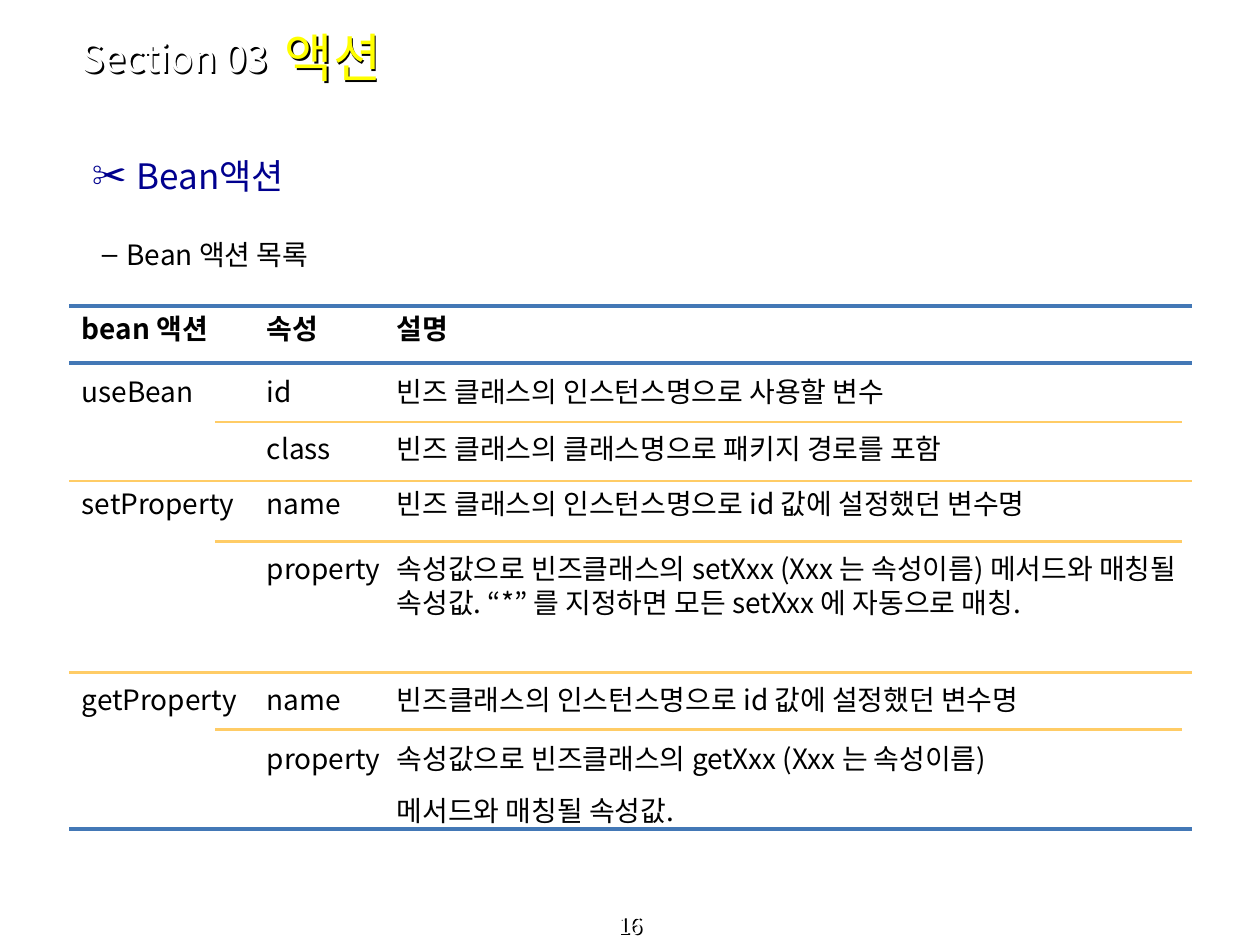
from lxml import etree
from pptx import Presentation
from pptx import util as u
from pptx.dml.color import RGBColor
from pptx.enum import shapes, text
from pptx.oxml import ns

FONT = "Noto Sans CJK KR"
BLACK = RGBColor(0x00, 0x00, 0x00)
WHITE = RGBColor(0xFF, 0xFF, 0xFF)
YELLOW = RGBColor(0xFF, 0xFF, 0x00)
NAVY = RGBColor(0x00, 0x00, 0x8E)
BLUE = RGBColor(0x43, 0x78, 0xB6)
ORANGE = RGBColor(0xFF, 0xCC, 0x66)

SECTION, TITLE, PAGE_NUMBER = "Section 03", "액션", "16"
BODY = [
    {"text": "Bean액션", "level": 0, "size": 20, "color": NAVY, "bullet": "✂",
     "margin": 1.2, "indent": -0.9, "before": 0, "spacing": 1},
    {"text": "Bean 액션 목록", "level": 1, "size": 16, "color": BLACK, "bullet": "–",
     "margin": 1, "indent": -0.5, "before": 4, "spacing": 2},
]
ROWS = [
    ("bean 액션", "속성", "설명"),
    ("useBean", "id", "빈즈 클래스의 인스턴스명으로 사용할 변수"),
    ("", "class", "빈즈 클래스의 클래스명으로 패키지 경로를 포함"),
    ("setProperty", "name", "빈즈 클래스의 인스턴스명으로 id 값에 설정했던 변수명"),
    ("", "property", "속성값으로 빈즈클래스의 setXxx (Xxx 는 속성이름) 메서드와 "
                     "매칭될 속성값. “*” 를 지정하면 모든 setXxx 에 자동으로 매칭."),
    ("getProperty", "name", "빈즈클래스의 인스턴스명으로 id 값에 설정했던 변수명"),
    ("", "property", "속성값으로 빈즈클래스의 getXxx (Xxx 는 속성이름)\n메서드와 매칭될 속성값."),
]
ROW_EDGES = [6.17, 7.44, 8.59, 9.7, 11, 13.64, 14.83, 16.71]
COLUMN_EDGES = [1.4, 5.13, 7.75, 24.03]
RULES = [
    (1.4, 24.03, BLUE, 2.25, (6.17, 7.32, 16.71)),
    (1.4, 24.03, ORANGE, 1.5, (9.7, 13.56)),
    (4.34, 23.83, ORANGE, 1.5, (8.51, 10.92, 14.71)),
]


def format_runs(paragraph, size, color, bold=False):
    for run in paragraph.runs:
        run.font.size = u.Pt(size)
        run.font.bold = bold
        run.font.color.rgb = color
        run.font.name = FONT
        latin = run.font._element.find(ns.qn("a:latin"))
        latin.addnext(etree.Element(ns.qn("a:ea"), typeface=FONT))


def place(shape, left, top, width, height):
    shape.left, shape.top = u.Cm(left), u.Cm(top)
    shape.width, shape.height = u.Cm(width), u.Cm(height)


def add_shadow(shape):
    shape.fill.background()
    shape.line.fill.background()
    effects = etree.SubElement(shape._element.spPr, ns.qn("a:effectLst"))
    outer = etree.SubElement(effects, ns.qn("a:outerShdw"), blurRad="0",
                             dist=str(u.Cm(0.05)), dir="2700000",
                             algn="tl", rotWithShape="0")
    etree.SubElement(outer, ns.qn("a:srgbClr"), val=str(BLACK))


def fill_label(shape, content, size, color, anchor, alignment):
    frame = shape.text_frame
    frame.text = content
    frame.word_wrap = True
    frame.auto_size = text.MSO_AUTO_SIZE.NONE
    frame.vertical_anchor = anchor
    frame.paragraphs[0].alignment = alignment
    format_runs(frame.paragraphs[0], size, color)
    add_shadow(shape)


def add_body(shape):
    place(shape, 1.3, 2.99, 22.86, 3)
    frame = shape.text_frame
    frame.text = "\n".join(item["text"] for item in BODY)
    frame.auto_size = text.MSO_AUTO_SIZE.NONE
    for paragraph, item in zip(frame.paragraphs, BODY):
        paragraph.level = item["level"]
        paragraph.line_spacing = item["spacing"]
        paragraph.space_before = u.Pt(item["before"])
        properties = paragraph._p.get_or_add_pPr()
        properties.set("marL", str(u.Cm(item["margin"])))
        properties.set("indent", str(u.Cm(item["indent"])))
        etree.SubElement(properties, ns.qn("a:buChar"), char=item["bullet"])
        format_runs(paragraph, item["size"], item["color"])


def add_action_table(slide):
    left, top = COLUMN_EDGES[0], ROW_EDGES[0]
    frame = slide.shapes.add_table(
        len(ROWS), len(ROWS[0]), u.Cm(left), u.Cm(top),
        u.Cm(COLUMN_EDGES[-1] - left), u.Cm(ROW_EDGES[-1] - top))
    table = frame.table
    table.horz_banding = False
    style = table._tbl.tblPr.find(ns.qn("a:tableStyleId"))
    style.text = "{2D5ABB26-0587-4C30-8999-92F81FD0307C}"
    for column, start, end in zip(table.columns, COLUMN_EDGES, COLUMN_EDGES[1:]):
        column.width = u.Cm(end - start)
    for row, start, end in zip(table.rows, ROW_EDGES, ROW_EDGES[1:]):
        row.height = u.Cm(end - start)
    for row_index, values in enumerate(ROWS):
        for column_index, value in enumerate(values):
            cell = table.cell(row_index, column_index)
            cell.fill.background()
            cell.margin_left, cell.margin_top = u.Cm(0.25), u.Cm(0.13)
            cell.margin_right = cell.margin_bottom = 0
            cell.text = value
            for index, paragraph in enumerate(cell.text_frame.paragraphs):
                paragraph.line_spacing = 0.85
                paragraph.space_before = u.Pt(10 if index else 0)
                format_runs(paragraph, 16, BLACK, bold=row_index == 0)
        if not values[0]:
            table.cell(row_index - 1, 0).merge(table.cell(row_index, 0))


def add_rules(slide):
    for start, end, color, width, heights in RULES:
        for height in heights:
            rule = slide.shapes.add_connector(
                shapes.MSO_CONNECTOR.STRAIGHT,
                u.Cm(start), u.Cm(height), u.Cm(end), u.Cm(height))
            rule.line.color.rgb = color
            rule.line.width = u.Pt(width)
            etree.SubElement(rule._element.spPr, ns.qn("a:effectLst"))


def main():
    presentation = Presentation()
    presentation.slide_width, presentation.slide_height = u.Cm(25.4), u.Cm(19.05)
    slide = presentation.slides.add_slide(presentation.slide_layouts[1])
    middle, left = text.MSO_ANCHOR.MIDDLE, text.PP_ALIGN.LEFT

    place(slide.shapes.title, 5.49, 0.28, 16.48, 1.73)
    fill_label(slide.shapes.title, TITLE, 30, YELLOW, middle, left)
    add_body(slide.placeholders[1])
    add_action_table(slide)
    add_rules(slide)

    section = slide.shapes.add_textbox(u.Cm(1.4), u.Cm(0.69), u.Cm(4.9), u.Cm(0.94))
    fill_label(section, SECTION, 22, WHITE, middle, left)
    number = slide.shapes.add_textbox(0, u.Cm(18.49), u.Cm(25.4), u.Cm(0.56))
    fill_label(number, PAGE_NUMBER, 13, WHITE,
               text.MSO_ANCHOR.BOTTOM, text.PP_ALIGN.CENTER)
    presentation.save("out.pptx")


if __name__ == "__main__":
    main()
